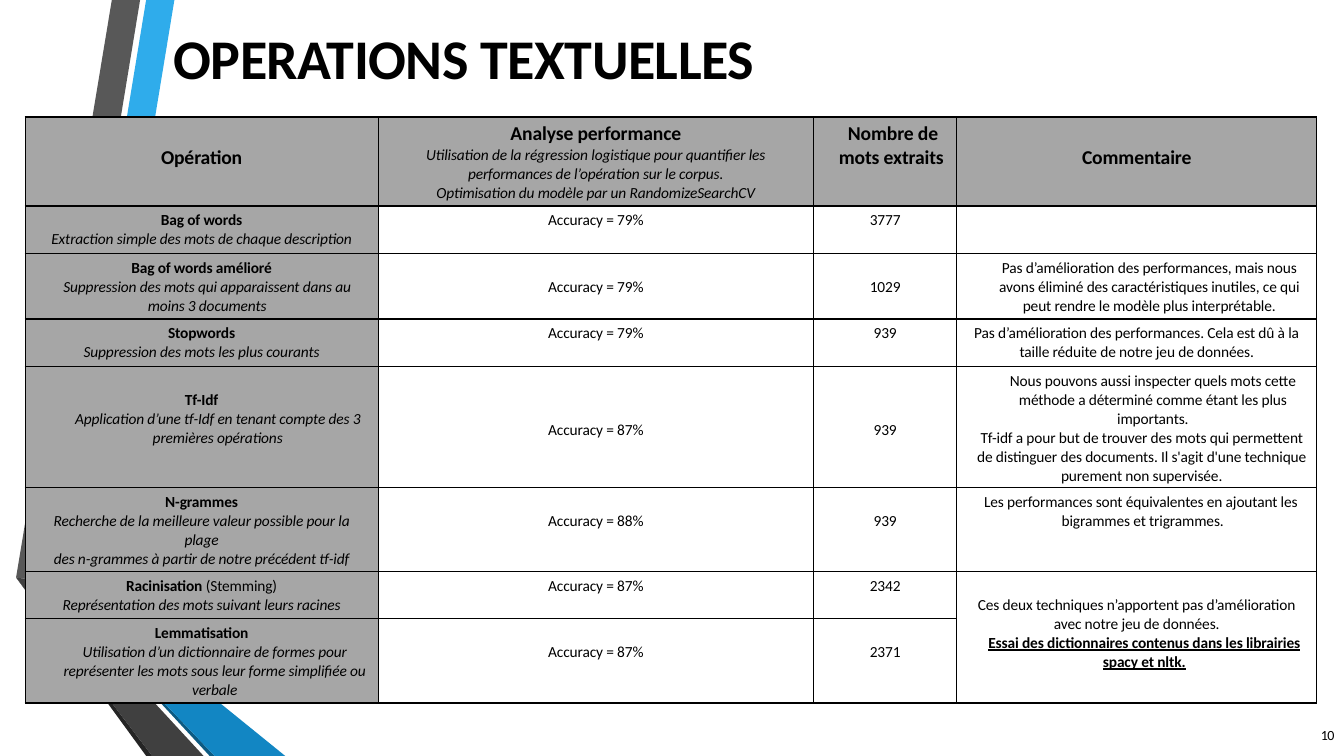
from dataclasses import dataclass
from lxml.etree import SubElement
from pptx import Presentation
from pptx.dml.color import RGBColor
from pptx.enum.text import MSO_ANCHOR as Anchor, PP_ALIGN as Align
from pptx.oxml.ns import qn
from pptx.util import Emu, Inches, Pt

FONT = "Calibri"
BLACK, GREY = "000000", "A6A6A6"
TITLE = "OPERATIONS TEXTUELLES"
PAGE = "10"


@dataclass
class Line:
    text: str
    look: str = "plain"
    indent: float = 0
    first: float = 0
    align: Align = Align.CENTER
    tail: str = ""


def operation(name, *details, indent=0, tail=""):
    return [Line(name, "bold", tail=tail)] + [Line(d, "italic", indent) for d in details]


RIBBONS = [
    ("2FACEB", [(1.73, 0), (1.45, 0), (0.5, 5.78), (0.77, 5.83)]),
    ("585858", [(1.39, 0), (1.11, 0), (0.16, 5.73), (0.44, 5.77)]),
    ("252525", [(0.16, 5.73), (1.45, 7.5), (1.51, 7.5)]),
    ("0C5A82", [(0.5, 5.79), (2.08, 7.5), (2.13, 7.5)]),
    ("1286C3", [(0.5, 5.78), (0.5, 5.79), (2.13, 7.5), (2.83, 7.5), (0.77, 5.83)]),
    ("404040", [(0.16, 5.73), (1.51, 7.5), (2.02, 7.5), (0.48, 5.83), (0.44, 5.77)]),
]

HEADINGS = [
    (0.29, [Line("Opération", "head")]),
    (0.05, [
        Line("Analyse performance", "head"),
        Line("Utilisation de la régression logistique pour quantifier les", "italic"),
        Line("performances de l’opération sur le corpus.", "italic"),
        Line("Optimisation du modèle par un RandomizeSearchCV", "italic"),
    ]),
    (0.05, [Line("Nombre de mots extraits", "head", 0.15, 0.09, Align.LEFT)]),
    (0.29, [Line("Commentaire", "head")]),
]

OPERATIONS = [
    (0.05, operation("Bag of words", "Extraction simple des mots de chaque description")),
    (0.05, operation("Bag of words amélioré",
                     "Suppression des mots qui apparaissent dans au moins 3 documents", indent=0.11)),
    (0.05, operation("Stopwords", "Suppression des mots les plus courants")),
    (0.24, operation("Tf-Idf",
                     "Application d’une tf-Idf en tenant compte des 3 premières opérations", indent=0.32)),
    (0.05, operation("N-grammes",
                     "Recherche de la meilleure valeur possible pour la plage",
                     "des n-grammes à partir de notre précédent tf-idf")),
    (0.05, operation("Racinisation ", "Représentation des mots suivant leurs racines", tail="(Stemming)")),
    (0.05, operation("Lemmatisation",
                     "Utilisation d’un dictionnaire de formes pour représenter les mots "
                     "sous leur forme simplifiée ou verbale", indent=0.26)),
]

RESULTS = [
    (0.05, "79%", "3777"),
    (0.24, "79%", "1029"),
    (0.05, "79%", "939"),
    (0.54, "87%", "939"),
    (0.24, "88%", "939"),
    (0.05, "87%", "2342"),
    (0.24, "87%", "2371"),
]

COMMENTS = [
    (0.05, []),
    (0.05, [Line("Pas d’amélioration des performances, mais nous avons éliminé des caractéristiques "
                 "inutiles, ce qui peut rendre le modèle plus interprétable.", indent=0.25)]),
    (0.05, [Line("Pas d’amélioration des performances. Cela est dû à la"),
            Line("taille réduite de notre jeu de données.")]),
    (0.05, [Line("Nous pouvons aussi inspecter quels mots cette méthode a déterminé comme étant "
                 "les plus importants.", indent=0.32),
            Line("Tf-idf a pour but de trouver des mots qui permettent de distinguer des documents. "
                 "Il s'agit d'une technique purement non supervisée.", indent=0.1)]),
    (0.05, [Line("Les performances sont équivalentes en ajoutant les bigrammes et trigrammes.",
                 indent=0.94, first=-0.77, align=Align.LEFT)]),
    (0.24, [Line("Ces deux techniques n’apportent pas d’amélioration"),
            Line("avec notre jeu de données."),
            Line("Essai des dictionnaires contenus dans les librairies spacy et nltk.",
                 "underlined", 0.15)]),
    (0.05, []),
]

COLUMNS = [3.5, 4.32, 1.42, 3.57]
ROWS = [0.88, 0.47, 0.65, 0.47, 1.2, 0.65, 0.47, 0.83]


def color(value):
    return RGBColor.from_string(value)


def write(paragraph, line, size, spacing):
    props = paragraph._p.get_or_add_pPr()
    props.set("marL", str(Inches(line.indent)))
    props.set("indent", str(Inches(line.first)))
    paragraph.alignment = line.align
    paragraph.space_before = Pt(0)
    font = paragraph.font
    font.name, font.size = FONT, Pt(size)
    font.color.rgb = color(BLACK)
    font.bold = line.look in ("head", "bold", "underlined")
    font.italic = line.look == "italic"
    font.underline = line.look == "underlined"
    for text in filter(None, (line.text, line.tail)):
        run = paragraph.add_run()
        run.text = text
        run._r.get_or_add_rPr().set("spc", str(spacing))
    if line.tail:
        run.font.bold = False


def set_frame(frame):
    frame.margin_left = frame.margin_right = frame.margin_bottom = 0
    frame.margin_top = Inches(0.01)
    frame.vertical_anchor = Anchor.TOP


def fill_cell(cell, top, lines, shade):
    cell.margin_top = Inches(top)
    props = cell._tc.get_or_add_tcPr()
    for side in ("lnL", "lnR", "lnT", "lnB"):
        border = SubElement(props, qn(f"a:{side}"), w=str(Pt(0.96)))
        SubElement(SubElement(border, qn("a:solidFill")), qn("a:srgbClr"), val=BLACK)
    if shade:
        cell.fill.solid()
        cell.fill.fore_color.rgb = color(shade)
    else:
        cell.fill.background()
    frame = cell.text_frame
    for i, line in enumerate(lines):
        paragraph = frame.add_paragraph() if i else frame.paragraphs[0]
        write(paragraph, line, 14 if line.look == "head" else 11, -10)


def main():
    deck = Presentation()
    deck.slide_width, deck.slide_height = Inches(13.33), Inches(7.5)
    slide = deck.slides.add_slide(deck.slide_layouts[5])
    shapes = slide.shapes

    for shade, points in RIBBONS:
        start, *rest = [(Inches(x), Inches(y)) for x, y in points]
        builder = shapes.build_freeform(*start)
        builder.add_line_segments(rest, close=True)
        ribbon = builder.convert_to_shape()
        ribbon.shadow.inherit = False
        ribbon.fill.solid()
        ribbon.fill.fore_color.rgb = color(shade)
        ribbon.line.fill.background()

    title = shapes.title
    shapes._spTree.append(title._element)
    title.left, title.top, title.width, title.height = map(Inches, (1.71, 0.22, 10.45, 1.26))
    set_frame(title.text_frame)
    write(title.text_frame.paragraphs[0], Line(TITLE, "bold", 0.01, align=Align.LEFT), 40, -35)

    page = shapes.add_textbox(*map(Inches, (13.09, 7.2, 0.16, 0.18))).text_frame
    set_frame(page)
    write(page.paragraphs[0], Line(PAGE, indent=0.01, align=Align.LEFT), 10, -30)

    table = shapes.add_table(len(ROWS), len(COLUMNS), Inches(0.25), Inches(1.16),
                             Inches(sum(COLUMNS)), Inches(sum(ROWS))).table
    table.first_row = table.horz_banding = False
    for column, width in zip(table.columns, COLUMNS):
        column.width = Inches(width)
    for row, height in zip(table.rows, ROWS):
        row.height = Inches(height)

    grid = [HEADINGS]
    for label, (top, accuracy, words), comment in zip(OPERATIONS, RESULTS, COMMENTS):
        grid.append([label, (top, [Line(f"Accuracy = {accuracy}")]), (top, [Line(words)]), comment])
    for r, cells in enumerate(grid):
        for c, (top, lines) in enumerate(cells):
            fill_cell(table.cell(r, c), top, lines, GREY if r == 0 or c == 0 else None)
    table.cell(6, 3).merge(table.cell(7, 3))

    deck.save("out.pptx")


if __name__ == "__main__":
    main()
